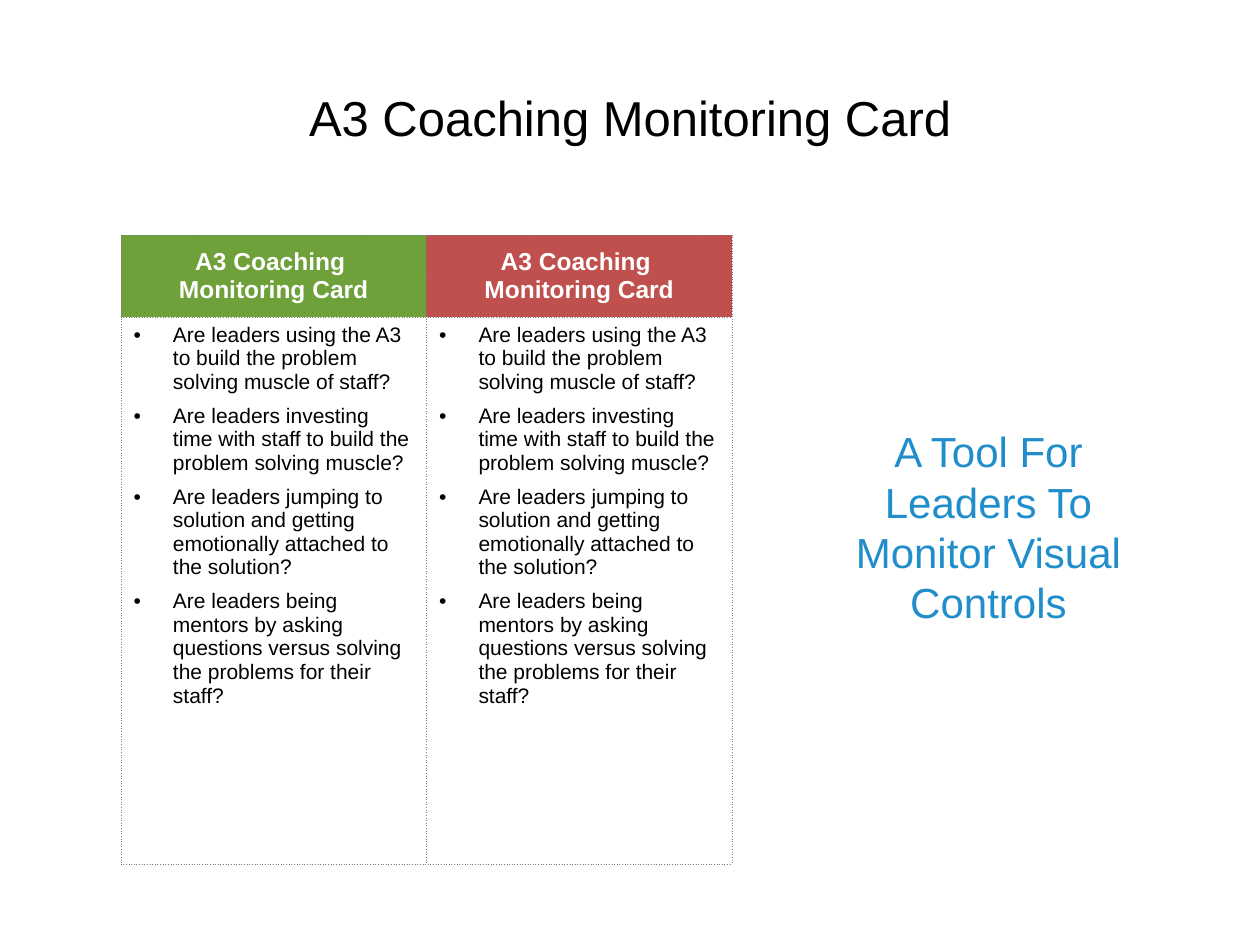
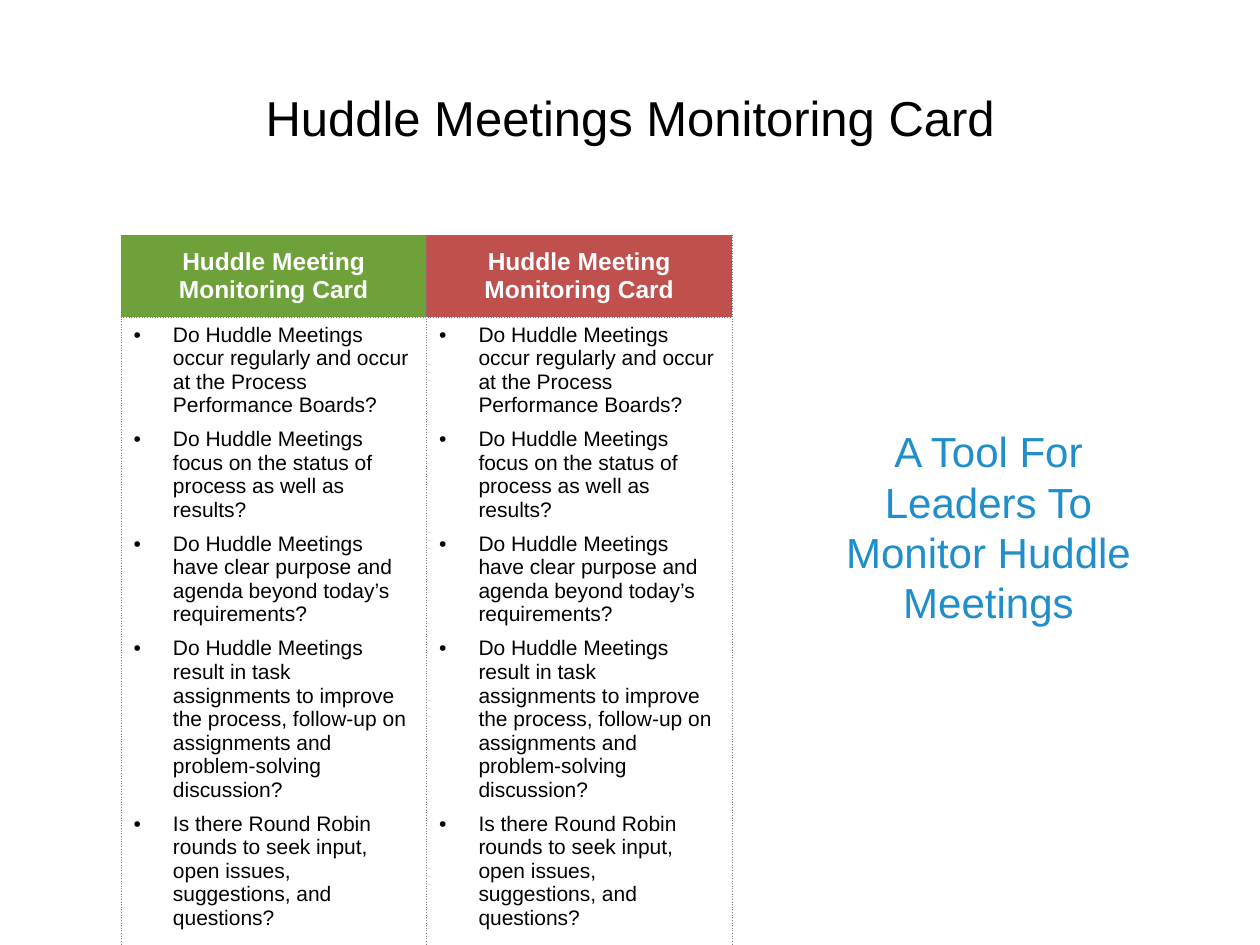
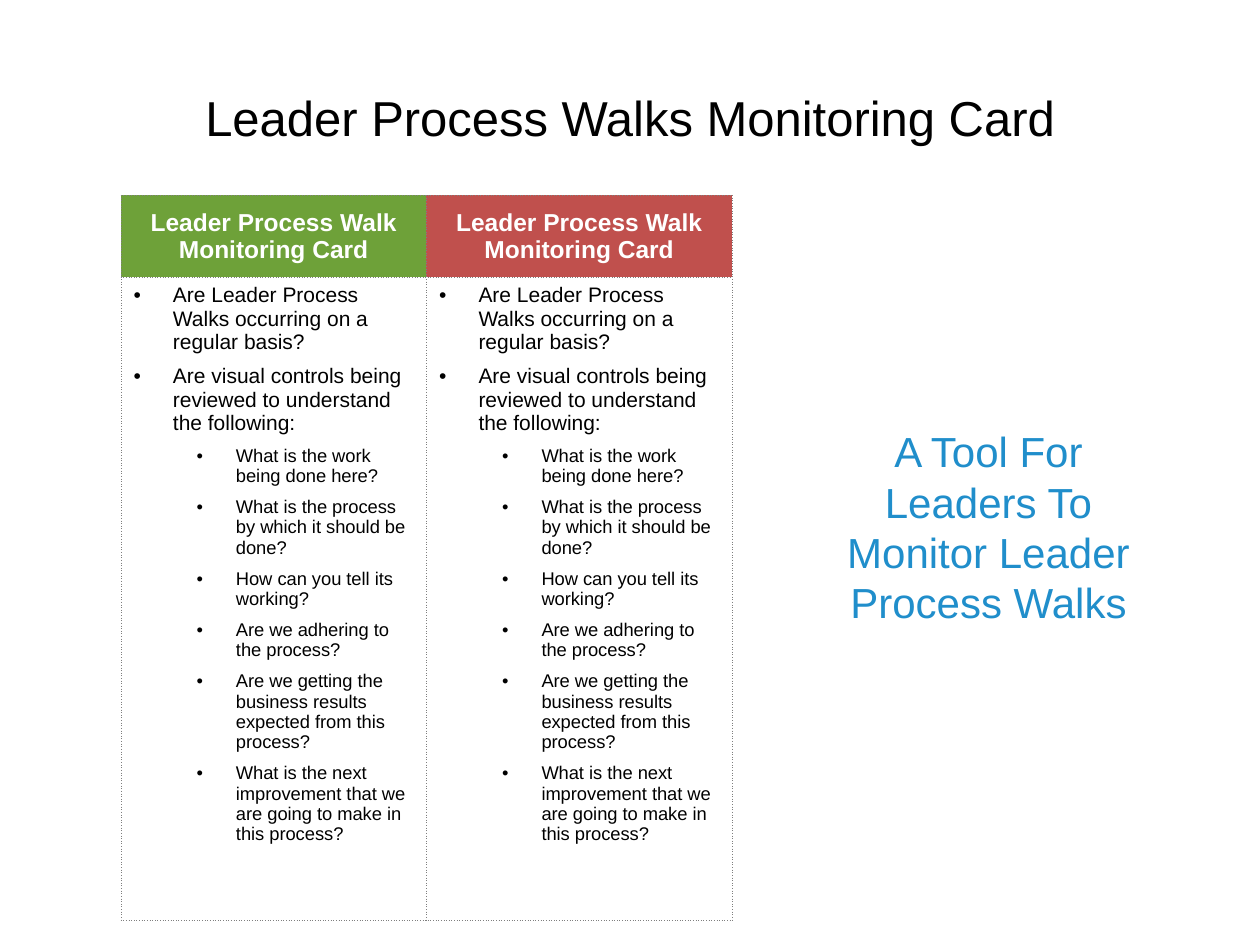
from copy import deepcopy
from dataclasses import dataclass

from lxml.etree import SubElement
from pptx import Presentation
from pptx.dml.color import RGBColor
from pptx.enum.text import MSO_ANCHOR as Anchor, MSO_AUTO_SIZE as AutoSize, PP_ALIGN as Align
from pptx.oxml import parse_xml
from pptx.oxml.ns import nsdecls, qn
from pptx.util import Inches, Pt

BLACK = RGBColor(0x00, 0x00, 0x00)
WHITE = RGBColor(0xFF, 0xFF, 0xFF)
GREEN = RGBColor(0x6E, 0xA1, 0x39)
RED = RGBColor(0xC0, 0x50, 0x4D)
BLUE = RGBColor(0x20, 0x8E, 0xCB)
GREY = RGBColor(0x7F, 0x7F, 0x7F)

FONT = "Arial"
SLIDE_WIDTH, SLIDE_HEIGHT = Inches(10), Inches(7.5)
GRID_COLUMNS = 100
UNIT = SLIDE_WIDTH / GRID_COLUMNS
HANGING = 3.13
LEVEL_STEP = 5
LEVEL_SIZES = (12, 10.5)
HEADER_FILLS = (GREEN, RED)
HEADER_ROWS = 6.5


@dataclass(frozen=True)
class Box:
    column: float
    row: float
    columns: float
    rows: float

    def lengths(self) -> tuple[int, ...]:
        return tuple(grid(value) for value in (self.column, self.row, self.columns, self.rows))


@dataclass(frozen=True)
class Question:
    text: str
    level: int = 0


@dataclass(frozen=True)
class Card:
    title: str
    heading: str
    purpose: str
    questions: tuple[Question, ...]
    row: float = 18.65
    body_rows: float = 43.4


TITLE_BOX = Box(5, 3, 90, 12.5)
PURPOSE_BOX = Box(64.8, 33.3, 27.3, 17.2)
TABLE_COLUMN, TABLE_COLUMNS = 9.6, 48.5

CARDS = (
    Card(
        "A3 Coaching Monitoring Card",
        "A3 Coaching \nMonitoring Card",
        "A Tool For Leaders To Monitor Visual Controls",
        (
            Question("Are leaders using the A3 to build the problem solving muscle of staff?"),
            Question("Are leaders investing time with staff to build the problem solving muscle?"),
            Question("Are leaders jumping to solution and getting emotionally attached to the solution?"),
            Question("Are leaders being mentors by asking questions versus solving the problems for their staff?"),
        ),
    ),
    Card(
        "Huddle Meetings Monitoring Card",
        "Huddle Meeting\nMonitoring Card",
        "A Tool For Leaders To Monitor Huddle Meetings",
        (
            Question("Do Huddle Meetings occur regularly and occur at the Process Performance Boards?"),
            Question("Do Huddle Meetings focus on the status of process as well as results?"),
            Question("Do Huddle Meetings have clear purpose and agenda beyond today’s requirements?"),
            Question(
                "Do Huddle Meetings result in task assignments to improve the process, "
                "follow-up on assignments and problem-solving discussion?"
            ),
            Question("Is there Round Robin rounds to seek input, open issues, suggestions, and questions?"),
        ),
        body_rows=48.3,
    ),
    Card(
        "Leader Process Walks Monitoring Card",
        "Leader Process Walk\nMonitoring Card",
        "A Tool For Leaders To Monitor Leader Process Walks",
        (
            Question("Are Leader Process Walks occurring on a regular basis?"),
            Question("Are visual controls being reviewed to understand the following:"),
            Question("What is the work being done here?", 1),
            Question("What is the process by which it should be done?", 1),
            Question("How can you tell its working?", 1),
            Question("Are we adhering to the process?", 1),
            Question("Are we getting the business results expected from this process?", 1),
            Question("What is the next improvement that we are going to make in this process?", 1),
        ),
        row=15.5,
        body_rows=51,
    ),
)


def grid(units: float) -> int:
    return round(units * UNIT)


def write(paragraph, text: str, *, size: float, color: RGBColor = BLACK,
          bold: bool = False, align: Align = Align.CENTER) -> None:
    paragraph.alignment = align
    for index, line in enumerate(text.split("\n")):
        if index:
            paragraph.add_line_break()
        run = paragraph.add_run()
        run.text = line
        run.font.name = FONT
        run.font.size = Pt(size)
        run.font.bold = bold
        run.font.color.rgb = color
    for line_break in paragraph._p.findall(qn("a:br")):
        line_break.append(deepcopy(run._r.rPr))


def add_text(slide, box: Box, text: str, *, size: float, color: RGBColor = BLACK,
             anchor: Anchor = Anchor.TOP, auto_size: AutoSize = AutoSize.NONE) -> None:
    frame = slide.shapes.add_textbox(*box.lengths()).text_frame
    frame.word_wrap = True
    frame.auto_size = auto_size
    frame.vertical_anchor = anchor
    write(frame.paragraphs[0], text, size=size, color=color)


def set_borders(cell) -> None:
    properties = cell._tc.get_or_add_tcPr()
    for index, side in enumerate("LRTB"):
        properties.insert(index, parse_xml(
            f'<a:ln{side} {nsdecls("a")} w="{Pt(0.25)}"><a:solidFill><a:srgbClr val="{GREY}"/>'
            f'</a:solidFill><a:prstDash val="sysDot"/></a:ln{side}>'
        ))


def write_question(paragraph, question: Question) -> None:
    paragraph.level = question.level
    paragraph.space_after = Pt(6)
    write(paragraph, question.text, size=LEVEL_SIZES[question.level], align=Align.LEFT)
    properties = paragraph._p.get_or_add_pPr()
    properties.set("marL", str(grid(HANGING + LEVEL_STEP * question.level)))
    properties.set("indent", str(-grid(HANGING)))
    SubElement(properties, qn("a:buFont")).set("typeface", FONT)
    SubElement(properties, qn("a:buChar")).set("char", "•")


def add_card_table(slide, card: Card) -> None:
    box = Box(TABLE_COLUMN, card.row, TABLE_COLUMNS, HEADER_ROWS + card.body_rows)
    table = slide.shapes.add_table(2, len(HEADER_FILLS), *box.lengths()).table
    table.horz_banding = False
    table.rows[0].height = grid(HEADER_ROWS)
    table.rows[1].height = grid(card.body_rows)
    for column, fill in enumerate(HEADER_FILLS):
        header, body = table.cell(0, column), table.cell(1, column)
        header.fill.solid()
        header.fill.fore_color.rgb = fill
        header.vertical_anchor = Anchor.MIDDLE
        write(header.text_frame.paragraphs[0], card.heading, size=14, color=WHITE, bold=True)
        body.fill.background()
        frame = body.text_frame
        for index, question in enumerate(card.questions):
            paragraph = frame.add_paragraph() if index else frame.paragraphs[0]
            write_question(paragraph, question)
        set_borders(header)
        set_borders(body)


def add_card_slide(presentation, card: Card) -> None:
    slide = presentation.slides.add_slide(presentation.slide_layouts[6])
    add_text(slide, TITLE_BOX, card.title, size=28, anchor=Anchor.MIDDLE)
    add_card_table(slide, card)
    add_text(slide, PURPOSE_BOX, card.purpose, size=24, color=BLUE,
             auto_size=AutoSize.SHAPE_TO_FIT_TEXT)


def main() -> None:
    presentation = Presentation()
    presentation.slide_width, presentation.slide_height = SLIDE_WIDTH, SLIDE_HEIGHT
    for card in CARDS:
        add_card_slide(presentation, card)
    presentation.save("out.pptx")


main()
